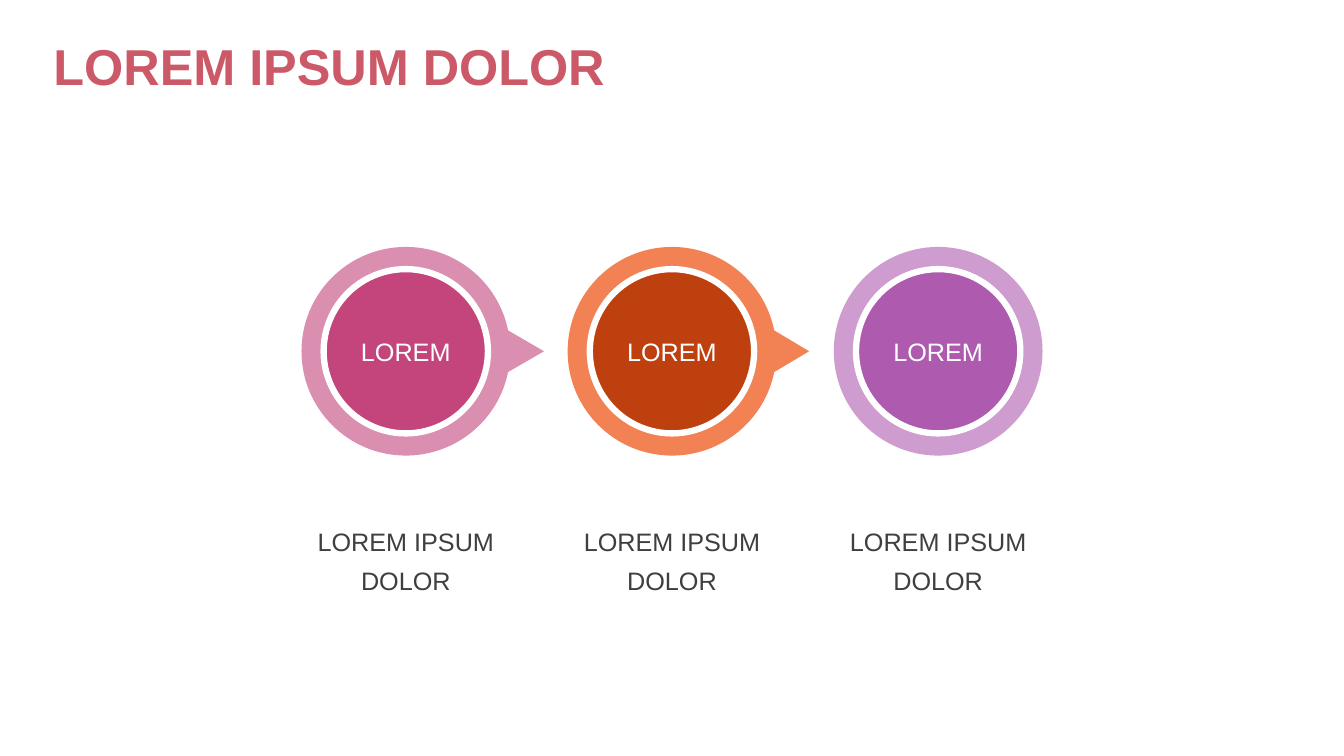
from itertools import pairwise
from math import cos, radians, sin, tan

from lxml.etree import Element
from pptx import Presentation
from pptx.dml.color import RGBColor
from pptx.enum.shapes import MSO_SHAPE
from pptx.enum.text import MSO_ANCHOR, PP_ALIGN
from pptx.oxml.ns import qn
from pptx.util import Inches, Pt

RING = 2.07
DISC = 1.63
PITCH = 2.64
ARC_ANGLES = [11.5, 90, 180, 270, 348.5]
STEPS = [
    ("LOREM", "LOREM IPSUM DOLOR", "DB8FB0", "C3457B", 1.37),
    ("LOREM", "LOREM IPSUM DOLOR", "F28154", "BE400E", 1.36),
    ("LOREM", "LOREM IPSUM DOLOR", "CE9CCE", "AE5AAE", None),
]


def rgb(color):
    """Turn a hex string into a colour."""
    return RGBColor.from_string(color)


def set_text(tf, text, size, color, align, bold=False, spacing=None):
    """Write one formatted paragraph into a text frame."""
    tf.word_wrap = True
    p = tf.paragraphs[0]
    p.text = text
    p.alignment = align
    p.line_spacing = spacing
    p.font.name = "Arial"
    p.font.size = Pt(size)
    p.font.bold = bold
    p.font.color.rgb = rgb(color)


def add_title(s, text, left, top, width, height):
    """Place the slide title in the given box."""
    title = s.shapes.title
    title.left, title.top = Inches(left), Inches(top)
    title.width, title.height = Inches(width), Inches(height)
    title.text_frame.vertical_anchor = MSO_ANCHOR.BOTTOM
    set_text(title.text_frame, text, 36, "CC5968", PP_ALIGN.LEFT, True, 0.9)


def style(sp, color):
    """Give a shape a flat fill without line or shadow."""
    sp.shadow.inherit = False
    sp.fill.solid()
    sp.fill.fore_color.rgb = rgb(color)
    sp.line.fill.background()


def add_circle(s, cx, cy, size, color):
    """Add a plain circle around a centre."""
    sp = s.shapes.add_shape(MSO_SHAPE.OVAL, Inches(cx - size / 2),
                            Inches(cy - size / 2), Inches(size), Inches(size))
    style(sp, color)
    return sp


def bend(line, start, end):
    """Turn a line segment of the ring into a circular curve."""
    r = RING / 2
    a, b = radians(start), radians(end)
    k = 4 / 3 * tan((b - a) / 4)
    controls = [(cos(a) - k * sin(a), sin(a) + k * cos(a)),
                (cos(b) + k * sin(b), sin(b) - k * cos(b))]
    line.tag = qn("a:cubicBezTo")
    for i, (x, y) in enumerate(controls):
        pt = Element(qn("a:pt"), x=str(Inches(r + r * x)), y=str(Inches(r + r * y)))
        line.insert(i, pt)


def add_pointer_ring(s, cx, cy, reach, color):
    """Add a disc with a pointer on its right whose tip lies at reach."""
    r = RING / 2
    joints = [(Inches(cx + r * cos(radians(a))), Inches(cy + r * sin(radians(a))))
              for a in ARC_ANGLES]
    builder = s.shapes.build_freeform(Inches(cx + reach), Inches(cy))
    builder.add_line_segments(joints, close=True)
    sp = builder.convert_to_shape()
    lines = sp.element.xpath(".//a:lnTo")[1:len(ARC_ANGLES)]
    for line, (start, end) in zip(lines, pairwise(ARC_ANGLES)):
        bend(line, start, end)
    style(sp, color)


def add_step(s, left, top, step):
    """Draw one ringed step and its caption from the ring's top left corner."""
    name, caption, ring_color, disc_color, reach = step
    cx, cy = left + RING / 2, top + RING / 2
    if reach:
        add_pointer_ring(s, cx, cy, reach, ring_color)
    else:
        add_circle(s, cx, cy, RING, ring_color)
    disc = add_circle(s, cx, cy, DISC, disc_color)
    disc.line.color.rgb = rgb("FFFFFF")
    disc.line.width = Pt(4.5)
    disc.text_frame.vertical_anchor = MSO_ANCHOR.MIDDLE
    set_text(disc.text_frame, name, 18, "FFFFFF", PP_ALIGN.CENTER)
    width = 2.29
    box = s.shapes.add_textbox(Inches(cx - width / 2), Inches(top + 2.63),
                               Inches(width), Inches(1.4))
    set_text(box.text_frame, caption, 18, "3F3F3F", PP_ALIGN.CENTER, spacing=1.3)


def add_process(s, left, top):
    """Lay the steps out in a row at an equal pitch."""
    for i, step in enumerate(STEPS):
        add_step(s, left + i * PITCH, top, step)


def main():
    """Build and save the slide."""
    prs = Presentation()
    prs.slide_width, prs.slide_height = Inches(13.33), Inches(7.5)
    s = prs.slides.add_slide(prs.slide_layouts[5])
    add_title(s, "LOREM IPSUM DOLOR", 0.43, 0.28, 8.44, 0.73)
    add_process(s, 2.99, 2.45)
    prs.save("out.pptx")


if __name__ == "__main__":
    main()
